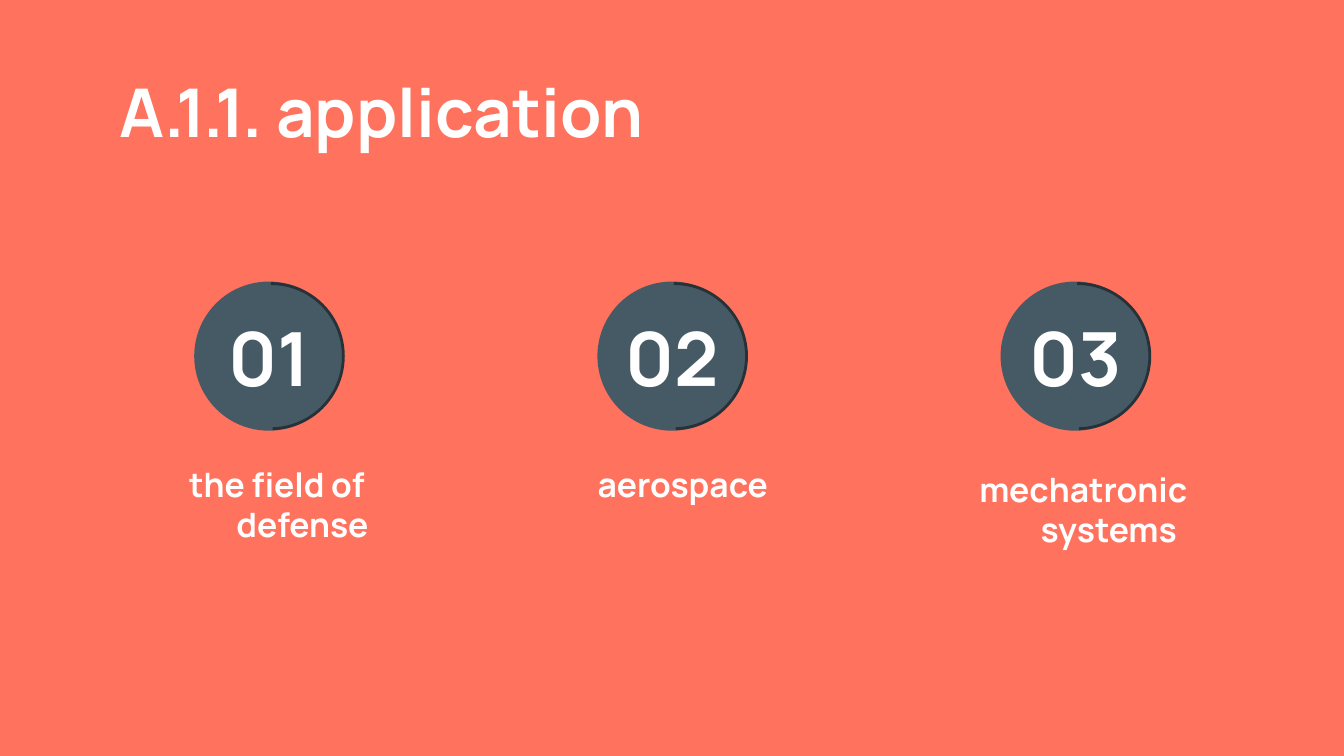
import pptx
import pptx.util
import pptx.dml.color
import pptx.enum.shapes
import pptx.enum.text

TITLE = "A.1.1. application"
# number, label, label left, label top
ITEMS = [
    ("01", "the field of defense", 0.79, 3.35),
    ("02", "aerospace", 3.81, 3.35),
    ("03", "mechatronic systems", 6.79, 3.39),
]
THEME = {
    "back": "FF725E", "disc": "455A64", "rim": "263238", "text": "FFFFFF",
    "font": "Manrope", "title": 36, "number": 40, "label": 18,
}
WIDE = 10
HIGH = WIDE * 9 / 16
STEP = 3                   # distance between column centres
DISC, ARC = 1.11, 1.08
MID = 2.65                 # centre line of the discs

Inch = pptx.util.Inches
Kind = pptx.enum.shapes.MSO_SHAPE
Align = pptx.enum.text.PP_ALIGN
Anchor = pptx.enum.text.MSO_ANCHOR


def color(name):
    return pptx.dml.color.RGBColor.from_string(THEME[name])


def write(slide, text, box, size, align, anchor=Anchor.TOP):
    shape = slide.shapes.add_textbox(*map(Inch, box))
    frame = shape.text_frame
    frame.word_wrap = True
    frame.vertical_anchor = anchor
    frame.margin_left = frame.margin_right = Inch(0.1)
    frame.margin_top = frame.margin_bottom = Inch(0.1)
    para = frame.paragraphs[0]
    para.text = text
    para.alignment = align
    font = para.font
    font.name, font.bold = THEME["font"], True
    font.size = pptx.util.Pt(THEME[size])
    font.color.rgb = color("text")
    return para


def badge(slide, x):
    """Draw a disc centred on x with a dark rim along its right half."""
    group = slide.shapes.add_group_shape().shapes
    disc = group.add_shape(Kind.OVAL, *map(
        Inch, (x - DISC / 2, MID - DISC / 2, DISC, DISC)))
    disc.fill.solid()
    disc.fill.fore_color.rgb = color("disc")
    disc.line.fill.background()
    rim = group.add_shape(Kind.ARC, *map(
        Inch, (x + DISC / 2 - ARC, MID - ARC / 2, ARC, ARC)))
    rim.adjustments[0], rim.adjustments[1] = 162, 53.15
    rim.fill.background()
    rim.line.color.rgb = color("rim")
    rim.line.width = pptx.util.Pt(1.5)
    disc.shadow.inherit = rim.shadow.inherit = False


def main():
    deck = pptx.Presentation()
    deck.slide_width, deck.slide_height = Inch(WIDE), Inch(HIGH)
    slide = deck.slides.add_slide(deck.slide_layouts[6])
    fill = slide.background.fill
    fill.solid()
    fill.fore_color.rgb = color("back")

    write(slide, TITLE, (0.79, 0.42, 8.43, 0.67), "title", Align.LEFT)
    for col, (number, label, left, top) in enumerate(ITEMS):
        x = WIDE / 2 + (col - 1) * STEP
        badge(slide, x)
        write(slide, number, (x - 0.48, 2.27, 0.97, 0.77), "number",
              Align.CENTER, Anchor.MIDDLE)
        para = write(slide, label, (left, top, 2.42, 0.81), "label",
                     Align.CENTER)
        props = para._p.get_or_add_pPr()
        props.set("marL", str(Inch(0.5)))
        props.set("indent", str(Inch(-0.38)))
    deck.save("out.pptx")


if __name__ == "__main__":
    main()
